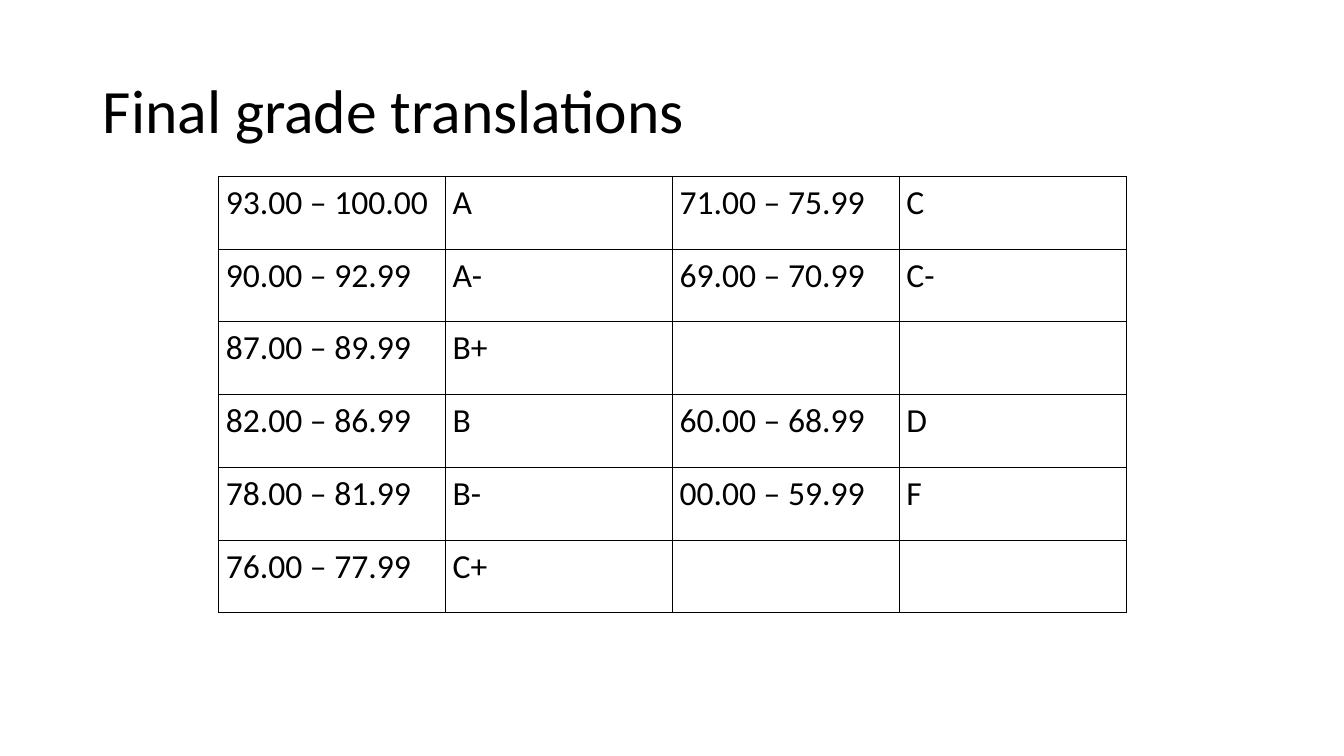
from lxml.etree import SubElement
from pptx import Presentation
from pptx.dml.color import RGBColor
from pptx.enum.text import MSO_ANCHOR, PP_ALIGN
from pptx.oxml.ns import qn
from pptx.util import Inches, Pt

BLACK = RGBColor(0, 0, 0)
GRADES = [
    ("93.00 – 100.00", "A", "71.00 – 75.99", "C"),
    ("90.00 – 92.99", "A-", "69.00 – 70.99", "C-"),
    ("87.00 – 89.99", "B+", "", ""),
    ("82.00 – 86.99", "B", "60.00 – 68.99", "D"),
    ("78.00 – 81.99", "B-", "00.00 – 59.99", "F"),
    ("76.00 – 77.99", "C+", "", ""),
]


def set_formats(target, formats):
    """Set each named attribute of the target."""
    for attribute, value in formats.items():
        setattr(target, attribute, value)


class GradeSlide:
    """Holds the text style and the current slide."""

    font_name = "Calibri"
    cell_format = {
        "margin_left": Inches(0.07), "margin_right": Inches(0.07),
        "margin_top": 0, "margin_bottom": 0,
        "vertical_anchor": MSO_ANCHOR.TOP,
    }

    def __init__(self, deck):
        """Add a title-only slide to the deck."""
        self.slide = deck.slides.add_slide(deck.slide_layouts[5])

    def fill_paragraph(self, paragraph, wording, size, spacing, alignment):
        """Fill one paragraph with styled text."""
        paragraph.text = wording
        set_formats(paragraph, {"line_spacing": spacing, "alignment": alignment})
        set_formats(paragraph.font, {"name": self.font_name, "size": Pt(size), "bold": False})
        paragraph.font.color.rgb = BLACK

    def add_title(self, wording, left, top, width, height):
        """Place and format the title placeholder."""
        title = self.slide.shapes.title
        set_formats(title, {"left": Inches(left), "top": Inches(top),
                            "width": Inches(width), "height": Inches(height)})
        set_formats(title.text_frame, {"vertical_anchor": MSO_ANCHOR.MIDDLE, "word_wrap": True})
        self.fill_paragraph(title.text_frame.paragraphs[0], wording, 44, 0.9, PP_ALIGN.LEFT)

    def add_borders(self, cell):
        """Draw a thin black line on all four sides of a cell."""
        properties = cell._tc.get_or_add_tcPr()
        for side in ("lnL", "lnR", "lnT", "lnB"):
            line = SubElement(properties, qn(f"a:{side}"), w=str(Pt(1)))
            fill = SubElement(line, qn("a:solidFill"))
            SubElement(fill, qn("a:srgbClr"), val=str(BLACK))

    def add_grades(self, rows, left, top, width, height):
        """Add a plain ruled table with equal rows and columns."""
        grades = self.slide.shapes.add_table(
            len(rows), len(rows[0]), Inches(left), Inches(top),
            Inches(width), Inches(height)).table
        set_formats(grades, {"first_row": False, "horz_banding": False})
        for row, entries in enumerate(rows):
            for column, entry in enumerate(entries):
                cell = grades.cell(row, column)
                set_formats(cell, self.cell_format)
                self.add_borders(cell)
                cell.fill.background()
                self.fill_paragraph(cell.text_frame.paragraphs[0], entry,
                                    24, 1.15, PP_ALIGN.JUSTIFY)


deck = Presentation()
set_formats(deck, {"slide_width": Inches(13.33), "slide_height": Inches(7.5)})
grade_slide = GradeSlide(deck)
grade_slide.add_title("Final grade translations", 0.92, 0.4, 11.5, 1.45)
grade_slide.add_grades(GRADES, 2.17, 1.75, 9, 4.33)
deck.save("out.pptx")
